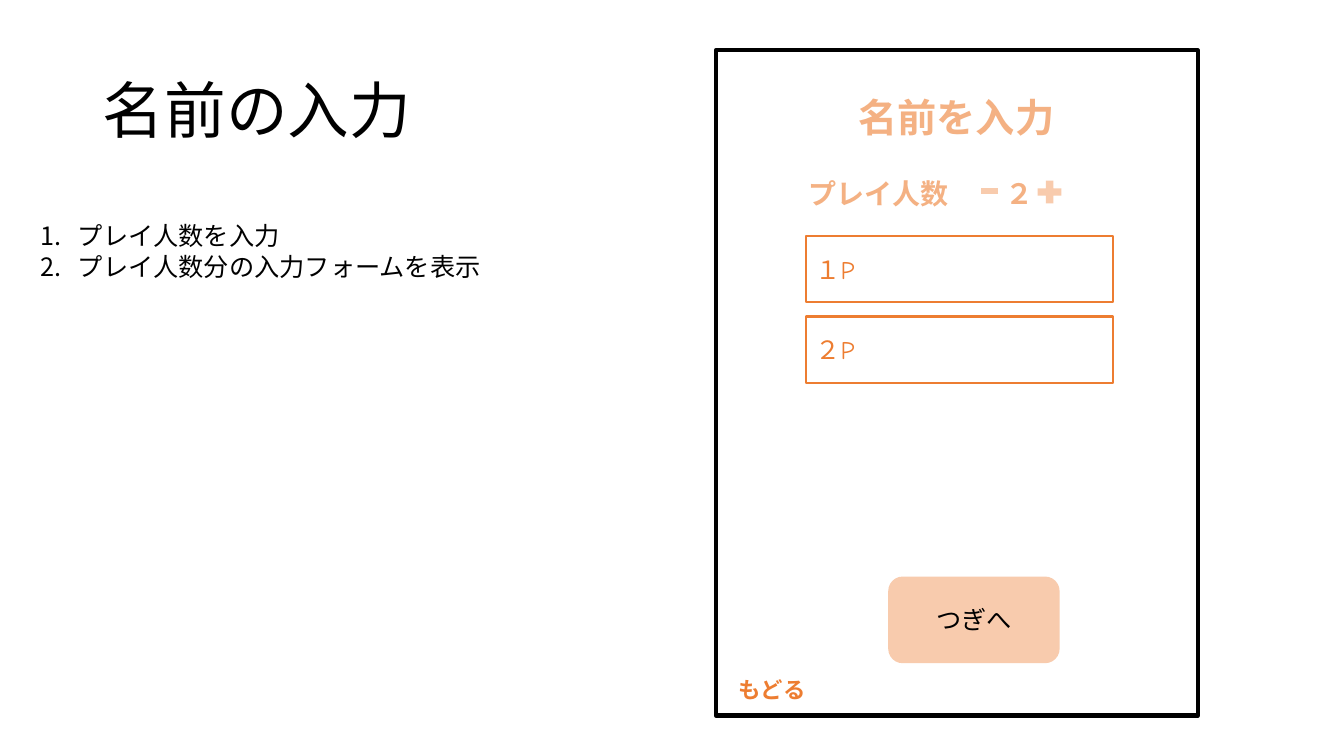
import pptx
import pptx.util
import pptx.dml.color
import pptx.enum.shapes
import pptx.enum.text
import pptx.oxml.ns
import lxml.etree

Inches = pptx.util.Inches
Shape = pptx.enum.shapes.MSO_SHAPE
Align = pptx.enum.text.PP_ALIGN
Anchor = pptx.enum.text.MSO_ANCHOR

SANS = "Noto Sans CJK JP"
COMIC = "Comic Neue"
BLACK, ORANGE, PEACH, PALE = "000000", "ED7D31", "F4B183", "F8CBAD"


def color(code):
    """Turn a hex string into a colour."""
    return pptx.dml.color.RGBColor.from_string(code)


def child(parent, tag, **attrs):
    """Add a drawing element below a parent."""
    return lxml.etree.SubElement(parent, pptx.oxml.ns.qn(tag), attrs)


def write(shape, lines, size, tint, face=SANS, bold=False,
          align=Align.LEFT, anchor=Anchor.TOP):
    """Put formatted lines of text into a shape."""
    frame = shape.text_frame
    frame.text = "\n".join(lines)
    for key, value in {"word_wrap": True, "vertical_anchor": anchor}.items():
        setattr(frame, key, value)
    look = {"name": face, "size": pptx.util.Pt(size), "bold": bold}
    for para in frame.paragraphs:
        para.alignment = align
        for run in para.runs:
            for key, value in look.items():
                setattr(run.font, key, value)
            run.font.color.rgb = color(tint)
            child(run.font._element, "a:ea", typeface=SANS)


def number(shape):
    """Number the paragraphs with a hanging indent."""
    indent = Inches(0.375)
    for para in shape.text_frame.paragraphs:
        props = para._p.get_or_add_pPr()
        props.set("marL", str(indent))
        props.set("indent", str(-indent))
        child(props, "a:buFont", typeface="+mj-lt")
        child(props, "a:buAutoNum", type="arabicPeriod")


def space(shape, inset, stop):
    """Inset the text and set one tab stop."""
    frame = shape.text_frame
    frame.margin_left = Inches(inset)
    stops = child(frame.paragraphs[0]._p.get_or_add_pPr(), "a:tabLst")
    child(stops, "a:tab", pos=str(Inches(stop)), algn="l")


def label(slide, box, lines, size, tint, **look):
    """Add a text box."""
    shape = slide.shapes.add_textbox(*map(Inches, box))
    write(shape, lines, size, tint, **look)
    return shape


def block(slide, kind, box, fill=None, line=None, width=1.5):
    """Add a preset shape with a plain fill or outline."""
    shape = slide.shapes.add_shape(kind, *map(Inches, box))
    shape.shadow.inherit = False
    if fill:
        shape.fill.solid()
        shape.fill.fore_color.rgb = color(fill)
    else:
        shape.fill.background()
    if line:
        shape.line.color.rgb = color(line)
        shape.line.width = pptx.util.Pt(width)
    else:
        shape.line.fill.background()
    return shape


def head(slide, text):
    """Place and format the slide title."""
    title = slide.shapes.title
    place = dict(zip(("left", "top", "width", "height"), (0.92, 0.4, 11.5, 1.45)))
    for key, value in place.items():
        setattr(title, key, Inches(value))
    write(title, [text], 44, BLACK, anchor=Anchor.MIDDLE)
    title.text_frame.paragraphs[0].line_spacing = 0.9


def main():
    """Build the name entry slide."""
    deck = pptx.Presentation()
    deck.slide_width, deck.slide_height = Inches(13.33), Inches(7.5)
    slide = deck.slides.add_slide(deck.slide_layouts[5])
    head(slide, "名前の入力")

    block(slide, Shape.RECTANGLE, (7.1, 0.5, 4.78, 6.6), line=BLACK, width=3)
    label(slide, (7.27, 0.88, 4.43, 0.57), ["名前を入力"], 28, PEACH,
          face=COMIC, bold=True, align=Align.CENTER)
    steps = label(slide, (0.3, 2.14, 6.37, 1.01),
                  ["プレイ人数を入力", "プレイ人数分の入力フォームを表示"], 18, BLACK)
    number(steps)

    button = block(slide, Shape.ROUNDED_RECTANGLE, (8.81, 5.72, 1.7, 0.86), fill=PALE)
    write(button, ["つぎへ"], 18, BLACK, align=Align.CENTER, anchor=Anchor.MIDDLE)
    label(slide, (7.23, 6.66, 1.08, 0.37), ["もどる"], 16, ORANGE, bold=True)

    for row, name in enumerate(["１P", "２P"]):
        field = block(slide, Shape.RECTANGLE, (7.99, 2.34 + 0.8 * row, 3.05, 0.66), line=ORANGE)
        write(field, [name], 18, ORANGE, face=COMIC, anchor=Anchor.MIDDLE)

    count = label(slide, (6.92, 1.7, 4.43, 0.44), ["プレイ人数\t２"], 20, PEACH,
                  face=COMIC, bold=True)
    space(count, 1.1, 1.95)
    block(slide, Shape.MATH_PLUS, (10.25, 1.75, 0.32, 0.31), fill=PALE)
    block(slide, Shape.MATH_MINUS, (9.7, 1.77, 0.23, 0.25), fill=PALE)
    deck.save("out.pptx")


if __name__ == "__main__":
    main()
